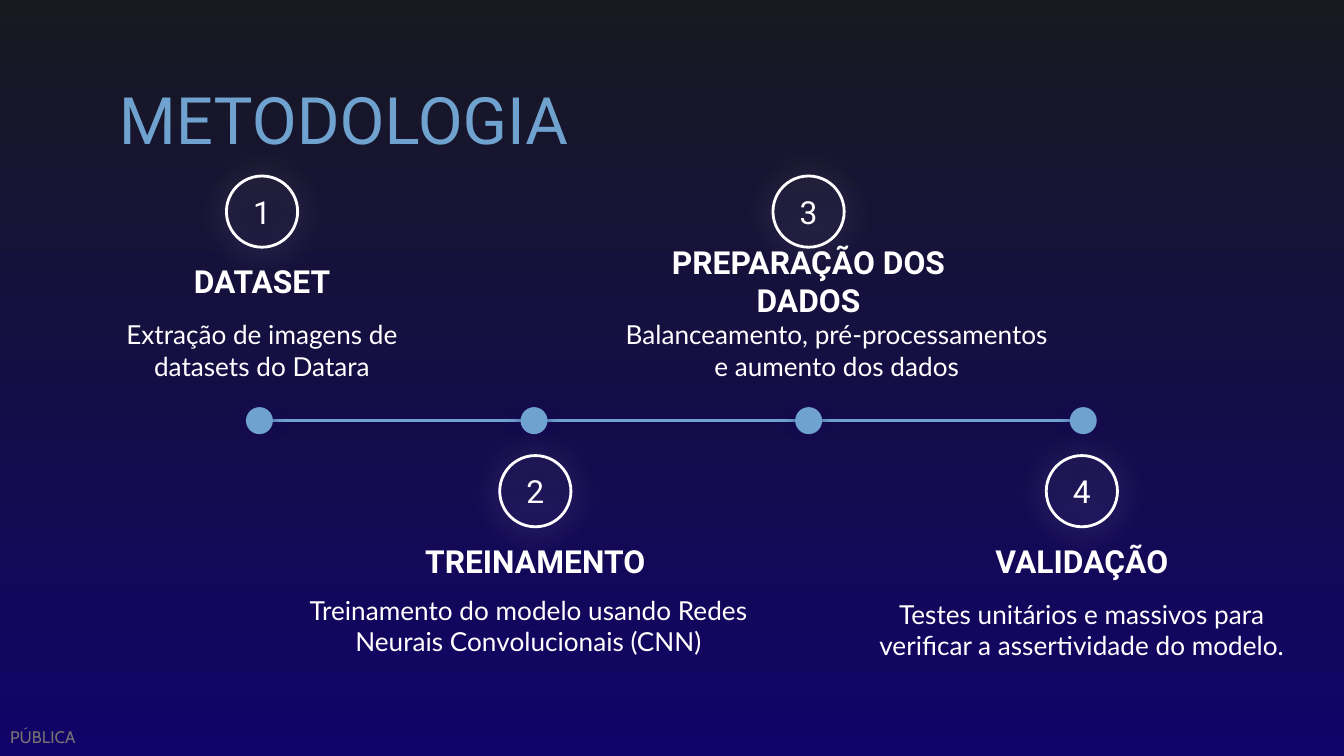
from dataclasses import dataclass
from itertools import pairwise

from lxml import etree
from pptx import Presentation
from pptx.dml.color import RGBColor
from pptx.enum.shapes import MSO_CONNECTOR, MSO_SHAPE
from pptx.enum.text import MSO_ANCHOR, PP_ALIGN
from pptx.oxml.ns import qn
from pptx.util import Inches, Pt

OVAL, STRAIGHT = MSO_SHAPE.OVAL, MSO_CONNECTOR.STRAIGHT
LEFT, CENTER = PP_ALIGN.LEFT, PP_ALIGN.CENTER
TOP, MIDDLE = MSO_ANCHOR.TOP, MSO_ANCHOR.MIDDLE


@dataclass(frozen=True)
class Theme:
    accent: str = "6FA2CE"
    white: str = "FFFFFF"
    gray: str = "737373"
    night: str = "181921"
    indigo: str = "120369"
    line: float = 1.5

    def font(self, role):
        """Return typeface, size and weight of a text role, and its colour."""
        name, size, color, bold = {
            "title": ("Roboto", 35, self.accent, False),
            "heading": ("Roboto", 17, self.white, True),
            "number": ("Roboto", 17, self.white, False),
            "description": ("Lato", 14, self.white, False),
            "label": ("Cabin", 9, self.gray, False),
        }[role]
        return {"name": name, "size": Pt(size), "bold": bold}, color


THEME = Theme()

# Grid in inches: one column per step, steps alternate above and below the axis
WIDTH = 10
HEIGHT = WIDTH * 9 / 16
COLUMN_ENDS, NODE_ENDS = (1.95, 8.05), (1.93, 8.06)
ROW_TOPS = (1.31, 3.39)
AXIS = 3.13
BADGE, NODE = 0.53, 0.18
HEADING_WIDTH, HEADING_HEIGHT, HEADING_DROP = 2.33, 0.36, 0.6
DESCRIPTION_HEIGHT = 0.69

# Heading, description, description width, shift from column, drop from row top
STEPS = (
    ("DATASET", "Extração de imagens de datasets do Datara", 2.33, 0, 0.96),
    ("TREINAMENTO",
     "Treinamento do modelo usando Redes Neurais Convolucionais (CNN)",
     3.63, -0.05, 0.93),
    ("PREPARAÇÃO DOS DADOS",
     "Balanceamento, pré-processamentos e aumento dos dados",
     3.47, 0.21, 0.96),
    ("VALIDAÇÃO",
     "Testes unitários e massivos para verificar a assertividade do modelo.",
     3.28, 0, 0.96),
)


def rgb(color):
    return RGBColor.from_string(color)


def spread(ends):
    """Place one centre per step at equal gaps between two ends."""
    first, last = ends
    pitch = (last - first) / (len(STEPS) - 1)
    return [first + i * pitch for i in range(len(STEPS))]


def box(center, top, width, height):
    return [Inches(v) for v in (center - width / 2, top, width, height)]


def write(shape, text, role, align=CENTER, anchor=TOP, inset=0.1, wrap=True):
    frame = shape.text_frame
    margins = {f"margin_{side}": Inches(inset)
               for side in ("left", "top", "right", "bottom")}
    layout = {"word_wrap": wrap, "vertical_anchor": anchor, **margins}
    for key, value in layout.items():
        setattr(frame, key, value)
    frame.text = text
    paragraph = frame.paragraphs[0]
    paragraph.alignment = align
    font = paragraph.runs[0].font
    values, color = THEME.font(role)
    for key, value in values.items():
        setattr(font, key, value)
    font.color.rgb = rgb(color)


def add_text(slide, place, *args, **options):
    write(slide.shapes.add_textbox(*place), *args, **options)


def outline(shape, color, glow, blur, distance=0):
    """Set the line, then a half-transparent shadow that falls downwards."""
    shape.line.color.rgb = rgb(color)
    shape.line.width = Pt(THEME.line)
    effects = etree.SubElement(shape._element.spPr, qn("a:effectLst"))
    shadow = etree.SubElement(
        effects, qn("a:outerShdw"), blurRad=str(Pt(blur)),
        dist=str(Pt(distance)), dir="5400000", algn="bl", rotWithShape="0")
    tint = etree.SubElement(shadow, qn("a:srgbClr"), val=glow)
    etree.SubElement(tint, qn("a:alpha"), val="50000")


def add_node(slide, center):
    node = slide.shapes.add_shape(
        OVAL, *box(center, AXIS - NODE / 2, NODE, NODE))
    node.fill.solid()
    node.fill.fore_color.rgb = rgb(THEME.accent)
    outline(node, THEME.accent, THEME.indigo, 6.8)


def add_link(slide, start, end):
    link = slide.shapes.add_connector(
        STRAIGHT, Inches(start + NODE / 2), Inches(AXIS),
        Inches(end - NODE / 2), Inches(AXIS))
    outline(link, THEME.accent, THEME.indigo, 6.8)


def add_badge(slide, center, top, number):
    badge = slide.shapes.add_shape(OVAL, *box(center, top, BADGE, BADGE))
    badge.fill.background()
    outline(badge, THEME.white, THEME.white, 15.8, 1.5)
    write(badge, str(number), "number", anchor=MIDDLE)


def add_step(slide, center, top, number, step):
    heading, description, width, shift, drop = step
    add_text(slide, box(center, top + HEADING_DROP, HEADING_WIDTH,
                        HEADING_HEIGHT), heading, "heading", anchor=MIDDLE)
    add_text(slide, box(center + shift, top + drop, width,
                        DESCRIPTION_HEIGHT), description, "description")
    add_badge(slide, center, top, number)


def paint_background(slide):
    fill = slide.background.fill
    fill.gradient()
    fill.gradient_angle = 90
    for stop, color in zip(fill.gradient_stops, (THEME.indigo, THEME.night)):
        stop.color.rgb = rgb(color)


def add_title(slide, text):
    title = slide.shapes.title
    place = box(WIDTH / 2, 0.49, 8.43, 1.24)
    for key, value in zip(("left", "top", "width", "height"), place):
        setattr(title, key, value)
    write(title, text, "title", align=LEFT)


def main():
    deck = Presentation()
    deck.slide_width, deck.slide_height = Inches(WIDTH), Inches(HEIGHT)
    slide = deck.slides.add_slide(deck.slide_layouts.get_by_name("Title Only"))
    paint_background(slide)

    # Title and classification label
    add_title(slide, "METODOLOGIA")
    add_text(slide, box(0.33, 5.41, 0.51, 0.15), "PÚBLICA", "label",
             align=LEFT, inset=0, wrap=False)

    # Timeline axis
    nodes = spread(NODE_ENDS)
    for start, end in pairwise(nodes):
        add_link(slide, start, end)
    for center in nodes:
        add_node(slide, center)

    # Steps, alternating between the two rows
    for i, (center, step) in enumerate(zip(spread(COLUMN_ENDS), STEPS)):
        add_step(slide, center, ROW_TOPS[i % 2], i + 1, step)

    deck.save("out.pptx")


if __name__ == "__main__":
    main()
